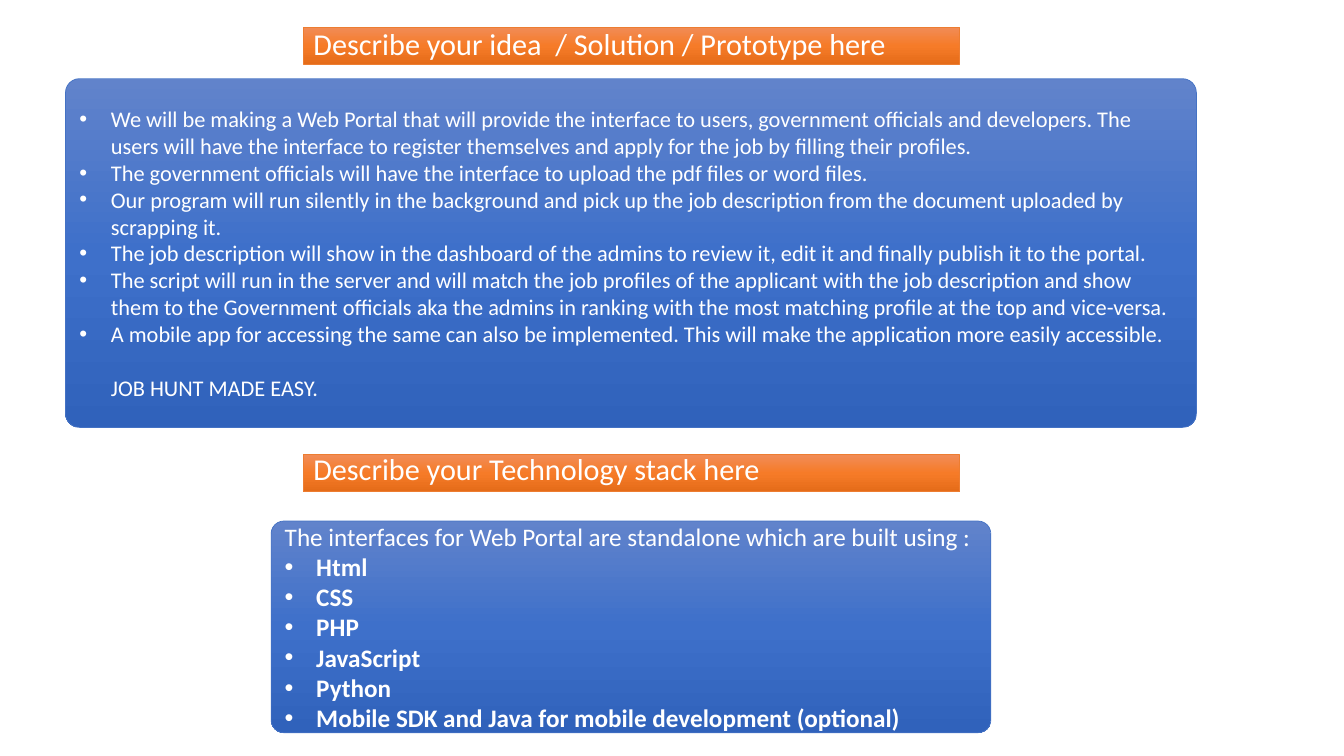
"""Builds the idea and technology stack slide."""
import copy

import pptx
import pptx.util
import pptx.dml.color
import pptx.enum.shapes
import pptx.enum.text
import pptx.oxml.ns
import pptx.oxml.xmlchemy

Pt = pptx.util.Pt
qn = pptx.oxml.ns.qn
SHAPES = pptx.enum.shapes.MSO_SHAPE

COLOURS = {
    "text": "FFFFFF",
    "panel": ["6183CB", "3E70CA", "3062BB"],
    "panel line": "4472C4",
    "banner": ["F18C57", "F67B28", "E56C19"],
    "banner line": "ED7D31",
}
BANNER_LEFT, BANNER_WIDTH, BANNER_HEIGHT = 216.7, 468.7, 26.6

IDEA_POINTS = [
    "We will be making a Web Portal that will provide the interface to users, government "
    "officials and developers. The users will have the interface to register themselves "
    "and apply for the job by filling their profiles.",
    "The government officials will have the interface to upload the pdf files or word files.",
    "Our program will run silently in the background and pick up the job description from "
    "the document uploaded by scrapping it.",
    "The job description will show in the dashboard of the admins to review it, edit it and "
    "finally publish it to the portal.",
    "The script will run in the server and will match the job profiles of the applicant with "
    "the job description and show them to the Government officials aka the admins in ranking "
    "with the most matching profile at the top and vice-versa.",
    "A mobile app for accessing the same can also be implemented. This will make the "
    "application more easily accessible.\v\vJOB HUNT MADE EASY.",
]
STACK_INTRO = "The interfaces for Web Portal are standalone which are built using :"
STACK_ITEMS = ["Html", "CSS", "PHP", "JavaScript", "Python",
               "Mobile SDK and Java for mobile development (optional)"]


class SlideBuilder:
    """Holds the style and the current slide."""

    def __init__(self, slide, font="Calibri"):
        self.slide = slide
        self.font = font

    def paint(self, shape, style):
        shape.fill.gradient()
        shape.fill.gradient_angle = 270
        stop_list = shape._element.spPr.find(qn("a:gradFill")).find(qn("a:gsLst"))
        stop_list.append(copy.deepcopy(stop_list[-1]))
        for index, stop in enumerate(shape.fill.gradient_stops):
            stop.position = index / 2
            stop.color.rgb = pptx.dml.color.RGBColor.from_string(COLOURS[style][index])
        shape.line.color.rgb = pptx.dml.color.RGBColor.from_string(COLOURS[style + " line"])
        shape.line.width = Pt(0.5)

    def prepare_text(self, shape, text):
        frame = shape.text_frame
        frame.text = text
        frame.word_wrap = True
        frame.auto_size = pptx.enum.text.MSO_AUTO_SIZE.NONE
        frame.vertical_anchor = pptx.enum.text.MSO_ANCHOR.MIDDLE
        return frame

    def format_paragraph(self, paragraph, size, bold=False, spacing=1.0):
        paragraph.alignment = pptx.enum.text.PP_ALIGN.LEFT
        paragraph.line_spacing = spacing
        for run in paragraph.runs:
            run.font.name = self.font
            run.font.size = Pt(size)
            run.font.bold = bold
            run.font.color.rgb = pptx.dml.color.RGBColor.from_string(COLOURS["text"])
        for line_break in paragraph._p.findall(qn("a:br")):
            line_break.append(copy.deepcopy(paragraph.runs[0]._r.rPr))

    def bullet(self, paragraph):
        properties = paragraph._p.get_or_add_pPr()
        properties.set("marL", str(Pt(22.5)))
        properties.set("indent", str(-Pt(22.5)))
        for tag, name, value in (("a:buFont", "typeface", "Arial"), ("a:buChar", "char", "•")):
            element = pptx.oxml.xmlchemy.OxmlElement(tag)
            element.set(name, value)
            properties.append(element)

    def add_shape(self, kind, left, top, width, height):
        shape = self.slide.shapes.add_shape(kind, Pt(left), Pt(top), Pt(width), Pt(height))
        shape.shadow.inherit = False
        return shape

    def format_banner(self, shape, text, spacing):
        self.paint(shape, "banner")
        frame = self.prepare_text(shape, text)
        self.format_paragraph(frame.paragraphs[0], 21.6, spacing=spacing)

    def title(self, top, text, spacing):
        shape = self.slide.shapes.title
        shape.left, shape.top = Pt(BANNER_LEFT), Pt(top)
        shape.width, shape.height = Pt(BANNER_WIDTH), Pt(BANNER_HEIGHT)
        self.format_banner(shape, text, spacing)

    def banner(self, top, text, spacing):
        shape = self.add_shape(SHAPES.RECTANGLE, BANNER_LEFT, top, BANNER_WIDTH, BANNER_HEIGHT)
        self.format_banner(shape, text, spacing)

    def panel(self, left, top, width, height, items, size, intro=None, bold=False):
        shape = self.add_shape(SHAPES.ROUNDED_RECTANGLE, left, top, width, height)
        shape.adjustments[0] = round(9 / height, 2)
        self.paint(shape, "panel")
        lines = [intro] + items if intro else items
        frame = self.prepare_text(shape, lines[0])
        for line in lines[1:]:
            frame.add_paragraph().text = line
        for paragraph, line in zip(frame.paragraphs, lines):
            is_item = line != intro
            self.format_paragraph(paragraph, size, bold=bold and is_item)
            if is_item:
                self.bullet(paragraph)


presentation = pptx.Presentation()
presentation.slide_width, presentation.slide_height = Pt(960), Pt(540)
builder = SlideBuilder(presentation.slides.add_slide(presentation.slide_layouts[5]))
builder.panel(46.8, 56.2, 807.8, 249.1, IDEA_POINTS, 16)
builder.panel(193.7, 372.2, 514.1, 151.2, STACK_ITEMS, 18, intro=STACK_INTRO, bold=True)
builder.title(19.4, "Describe your idea  / Solution / Prototype here", 0.9)
builder.banner(324.7, "Describe your Technology stack here", 0.7)
presentation.save("out.pptx")
